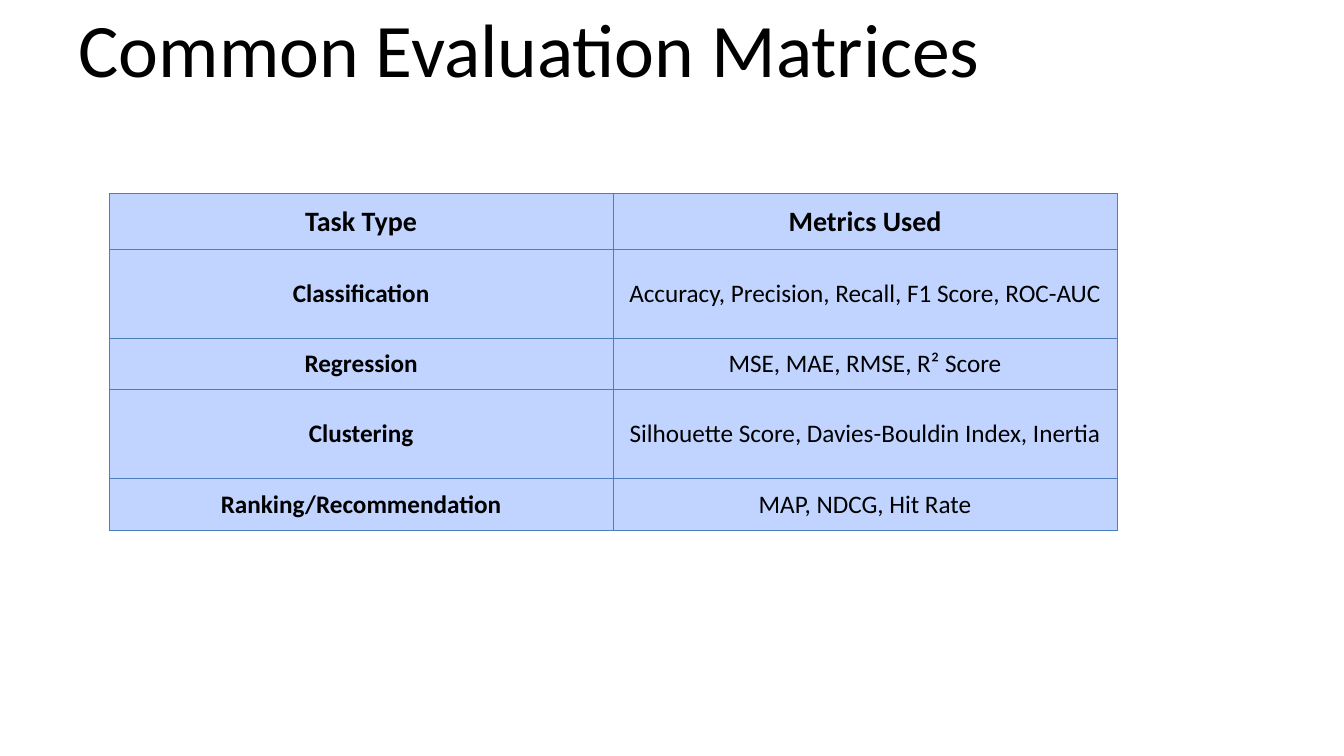
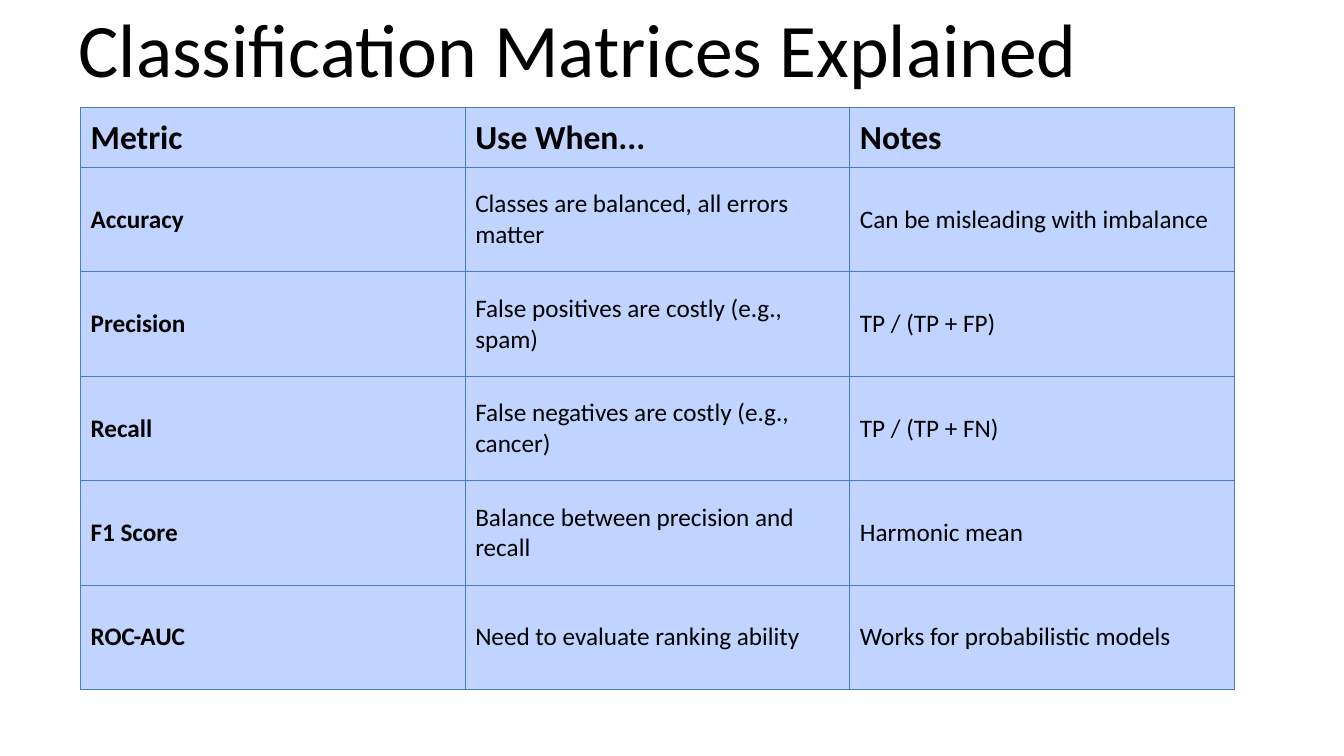
from dataclasses import dataclass

from lxml import etree
from pptx import Presentation
from pptx.dml.color import RGBColor
from pptx.enum.text import MSO_ANCHOR, MSO_AUTO_SIZE, PP_ALIGN
from pptx.oxml.ns import qn
from pptx.util import Cm, Pt

LEFT, CENTER = PP_ALIGN.LEFT, PP_ALIGN.CENTER
TOP, MIDDLE = MSO_ANCHOR.TOP, MSO_ANCHOR.MIDDLE
GROW = MSO_AUTO_SIZE.SHAPE_TO_FIT_TEXT
TITLE_ONLY = 5


@dataclass(frozen=True)
class Theme:
    font: str = "Calibri"
    ink: str = "000000"
    cell: str = "C0D4FF"
    border: str = "4B7EBC"
    border_pt: float = 0.75
    title_pt: int = 54
    body_pt: int = 18


THEME = Theme()
TITLE_BOX = (1.98, 0.05, 29.92, 2.32)

TASK_ROWS = [
    ("Task Type", "Metrics Used"),
    ("Classification", "Accuracy, Precision, Recall, F1 Score, ROC-AUC"),
    ("Regression", "MSE, MAE, RMSE, R² Score"),
    ("Clustering", "Silhouette Score, Davies-Bouldin Index, Inertia"),
    ("Ranking/Recommendation", "MAP, NDCG, Hit Rate"),
]
METRIC_ROWS = [
    ("Metric", "Use When...", "Notes"),
    ("Accuracy", "Classes are balanced, all errors matter",
     "Can be misleading with imbalance"),
    ("Precision", "False positives are costly (e.g., spam)", "TP / (TP + FP)"),
    ("Recall", "False negatives are costly (e.g., cancer)", "TP / (TP + FN)"),
    ("F1 Score", "Balance between precision and recall", "Harmonic mean"),
    ("ROC-AUC", "Need to evaluate ranking ability",
     "Works for probabilistic models"),
]


def add_run(p, text, size, bold=False):
    r = p.add_run()
    r.text = text
    r.font.name = THEME.font
    r.font.size = Pt(size)
    r.font.bold = bold
    r.font.color.rgb = RGBColor.from_string(THEME.ink)


def add_title(s, text):
    sp = s.shapes.title
    sp.left, sp.top, sp.width, sp.height = map(Cm, TITLE_BOX)
    tf = sp.text_frame
    tf.margin_left = tf.margin_top = tf.margin_right = tf.margin_bottom = 0
    tf.word_wrap = True
    tf.auto_size = GROW
    tf.vertical_anchor = TOP
    p = tf.paragraphs[0]
    p.alignment = LEFT
    add_run(p, text, THEME.title_pt)


def add_borders(cell):
    """Draw all four edges; call before setting the fill, which must follow."""
    tc_pr = cell._tc.get_or_add_tcPr()
    for edge in ("a:lnL", "a:lnR", "a:lnT", "a:lnB"):
        ln = etree.SubElement(tc_pr, qn(edge), w=str(Pt(THEME.border_pt)))
        fill = etree.SubElement(ln, qn("a:solidFill"))
        etree.SubElement(fill, qn("a:srgbClr"), val=THEME.border)


def format_cell(cell, text, size, bold, align):
    add_borders(cell)
    cell.fill.solid()
    cell.fill.fore_color.rgb = RGBColor.from_string(THEME.cell)
    cell.vertical_anchor = MIDDLE
    p = cell.text_frame.paragraphs[0]
    p.alignment = align
    add_run(p, text, size, bold)


def add_grid(s, rows, left, top, width, heights, header_pt, align):
    """Place a table of equal columns with a bold first row and column."""
    n_cols = len(rows[0])
    table = s.shapes.add_table(len(rows), n_cols, Cm(left), Cm(top),
                               Cm(width), Cm(sum(heights))).table
    table.first_row = table.horz_banding = False
    for column in table.columns:
        column.width = Cm(width / n_cols)
    for i, (texts, height) in enumerate(zip(rows, heights)):
        table.rows[i].height = Cm(height)
        size = THEME.body_pt if i else header_pt
        for j, text in enumerate(texts):
            format_cell(table.cell(i, j), text, size, i == 0 or j == 0, align)


def add_table_slide(prs, title, rows, **grid):
    s = prs.slides.add_slide(prs.slide_layouts[TITLE_ONLY])
    add_title(s, title)
    add_grid(s, rows, **grid)


def main():
    prs = Presentation()
    prs.slide_width, prs.slide_height = Cm(33.87), Cm(19.05)
    add_table_slide(prs, "Common Evaluation Matrices", TASK_ROWS,
                    left=2.75, top=4.88, width=25.4,
                    heights=[1.4] + [2.24, 1.3] * 2,
                    header_pt=20, align=CENTER)
    add_table_slide(prs, "Classification Matrices Explained", METRIC_ROWS,
                    left=2.03, top=2.72, width=29.08,
                    heights=[1.5] + [2.63] * 5,
                    header_pt=24, align=LEFT)
    prs.save("out.pptx")


if __name__ == "__main__":
    main()
